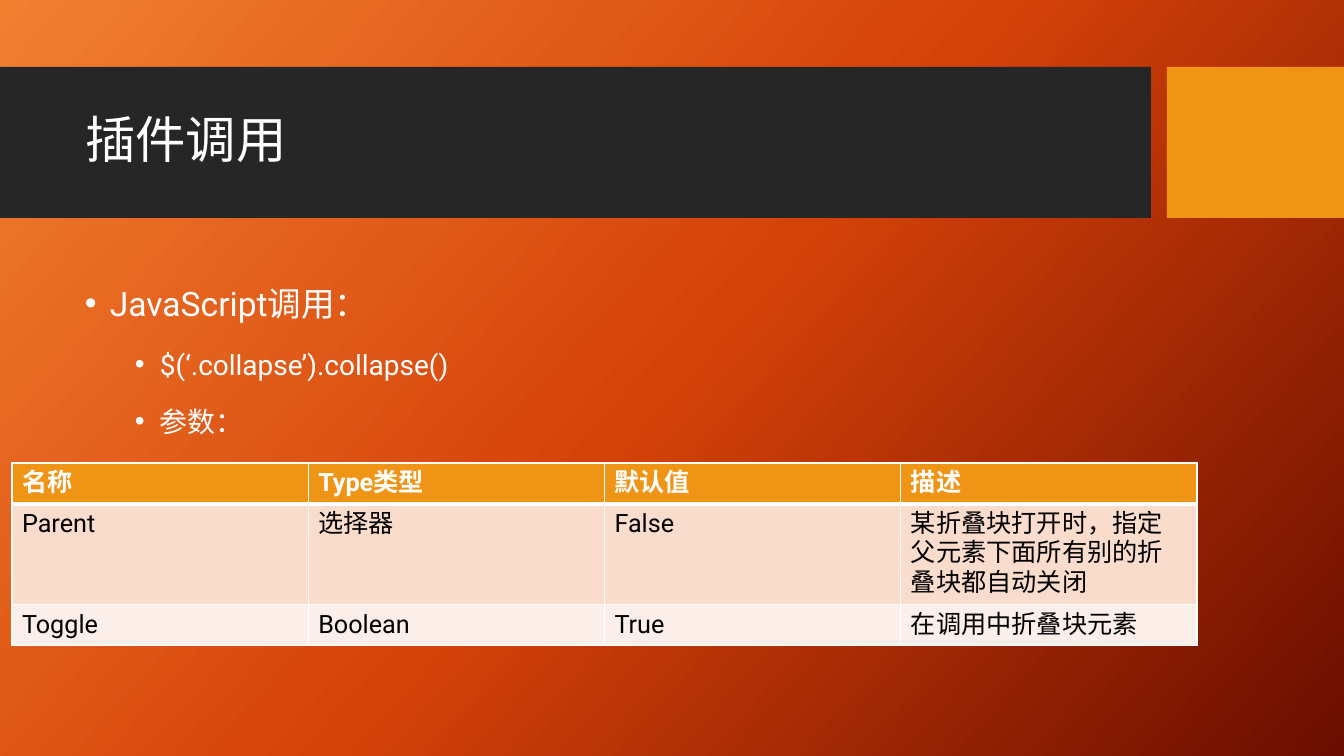
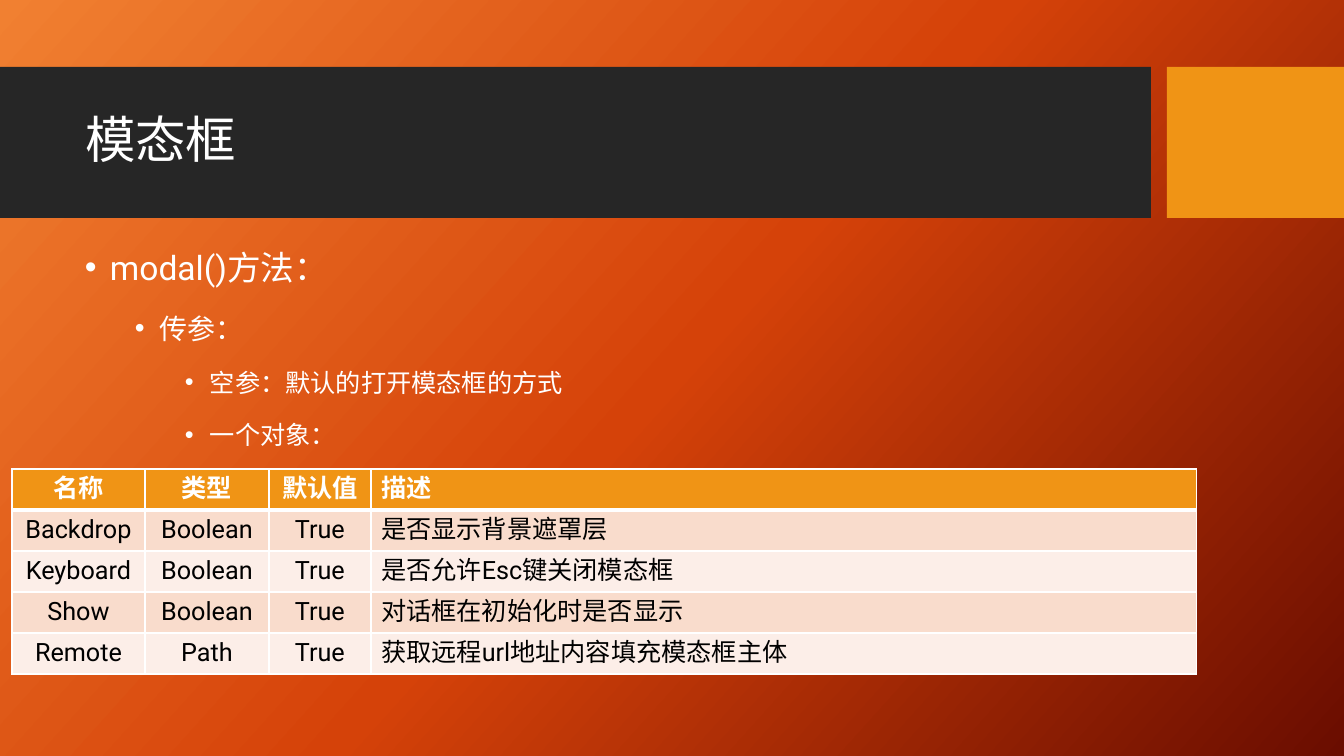
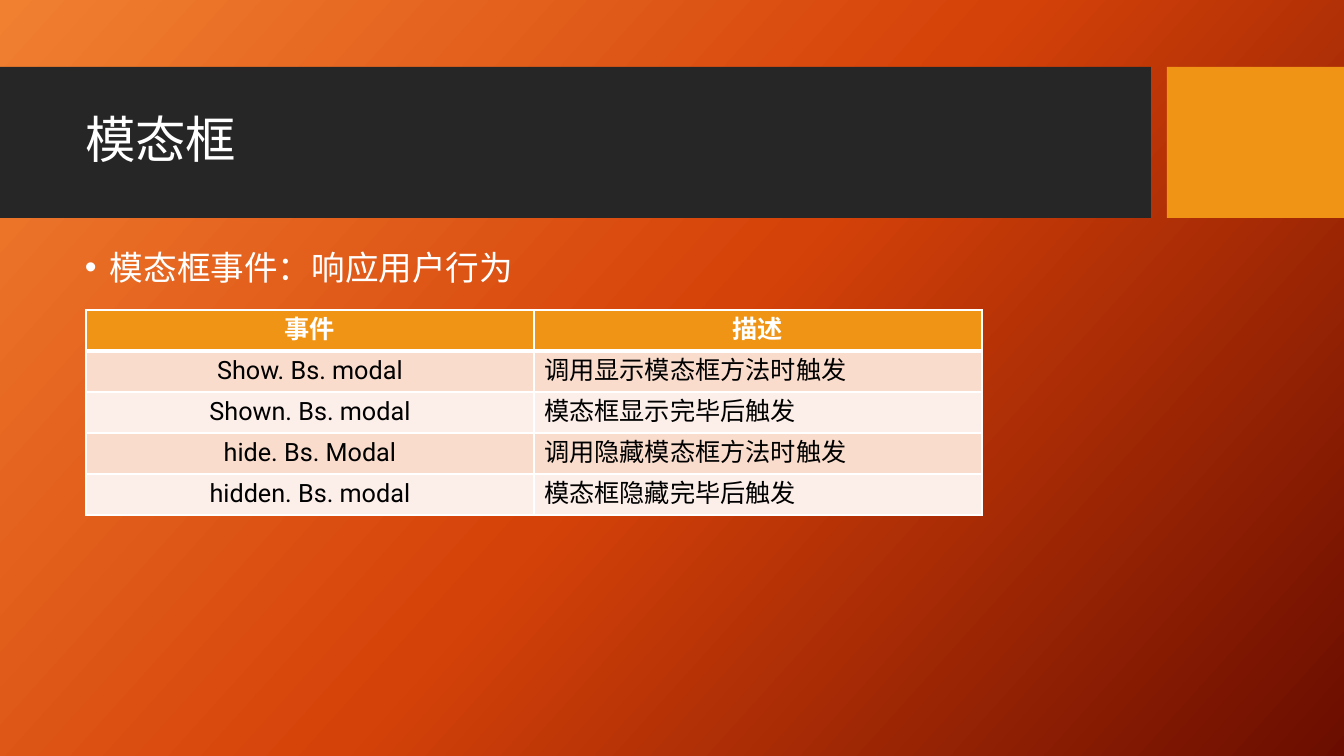
from lxml import etree
from pptx import Presentation
from pptx.dml.color import RGBColor
from pptx.enum.shapes import MSO_SHAPE
from pptx.enum.text import MSO_ANCHOR, MSO_AUTO_SIZE, PP_ALIGN
from pptx.oxml import parse_xml
from pptx.oxml.ns import qn
from pptx.util import Emu, Pt

RECT = MSO_SHAPE.RECTANGLE
MIDDLE = MSO_ANCHOR.MIDDLE
NO_FIT = MSO_AUTO_SIZE.NONE
LEFT, CENTER = PP_ALIGN.LEFT, PP_ALIGN.CENTER

SCALE = 914400 / 100.8
WIDE, HIGH = 1344, 756
FONT = "Roboto"
COLORS = {
    "white": "FFFFFF", "black": "000000", "band": "262626", "gold": "F09415",
    "odd": "F9DCCC", "even": "FCEEE8",
    "glow": "F18031", "flame": "D54209", "ember": "6A0D00",
}
NS = "http://schemas.openxmlformats.org/drawingml/2006/main"
TITLE_BOX = (75, 83, 1059, 119)
SIZES = (24, 20, 18)  # bullet text by level
ROW = 41


def px(n):
    return Emu(round(n * SCALE))


def rgb(name):
    return RGBColor.from_string(COLORS[name])


def write(par, text, size=18, color="white", bold=False, align=LEFT,
          lines=None, before=None):
    """Add one formatted run to a paragraph."""
    par.alignment = align
    if lines:
        par.line_spacing = lines
    if before:
        par.space_before = Pt(before)
    run = par.add_run()
    run.text = text
    font = run.font
    font.size, font.bold, font.name = Pt(size), bold, FONT
    font.color.rgb = rgb(color)
    props = run._r.get_or_add_rPr()
    props.set("lang", "zh-CN")
    etree.SubElement(props, qn("a:ea"), typeface=FONT)


# Shared look
def paint(master):
    fill = master.background.fill
    fill.gradient()
    grad = master.element.find(".//" + qn("a:gradFill"))
    stops = "".join(
        f'<a:gs pos="{pos}000"><a:srgbClr val="{COLORS[name]}"/></a:gs>'
        for pos, name in ((0, "glow"), (50, "flame"), (100, "ember")))
    grad.getparent().replace(grad, parse_xml(
        f'<a:gradFill xmlns:a="{NS}" rotWithShape="1"><a:gsLst>{stops}</a:gsLst>'
        f'<a:lin ang="{42 * 60000}" scaled="0"/></a:gradFill>'))


def band(slide, left, width, color, depth):
    bar = slide.shapes.add_shape(RECT, px(left), px(67), px(width), px(151))
    bar.shadow.inherit = False
    bar.fill.solid()
    bar.fill.fore_color.rgb = rgb(color)
    bar.line.fill.background()
    slide.shapes.element.insert(depth, bar._element)  # behind the title


def start(deck, text):
    slide = deck.slides.add_slide(deck.slide_layouts[5])
    band(slide, 0, 1151, "band", 2)
    band(slide, 1167, WIDE - 1167, "gold", 3)
    title = slide.shapes.title
    title.left, title.top, title.width, title.height = map(px, TITLE_BOX)
    frame = title.text_frame
    frame.auto_size, frame.vertical_anchor = NO_FIT, MIDDLE
    write(frame.paragraphs[0], text, size=36, lines=0.9)
    return slide


# Bullet list of (level, text)
def bullets(slide, box, items):
    frame = slide.shapes.add_textbox(*map(px, box)).text_frame
    frame.word_wrap = True
    for i, (level, text) in enumerate(items):
        par = frame.add_paragraph() if i else frame.paragraphs[0]
        par.level = level
        props = par._p.get_or_add_pPr()
        props.set("marL", str(px(25 + 50 * level)))
        props.set("indent", str(px(-25)))
        etree.SubElement(props, qn("a:buFont"), typeface="Arial")
        etree.SubElement(props, qn("a:buChar"), char="•")
        write(par, text, size=SIZES[level], lines=1.5, before=5 if i else None)


# Table cells
def edge(cell, row):
    props = cell._tc.get_or_add_tcPr()
    widths = {"lnL": 1, "lnR": 1, "lnT": 3 if row == 1 else 1,
              "lnB": 3 if row == 0 else 1}
    for i, (tag, width) in enumerate(widths.items()):
        props.insert(i, parse_xml(
            f'<a:{tag} xmlns:a="{NS}" w="{Pt(width)}"><a:solidFill>'
            f'<a:srgbClr val="{COLORS["white"]}"/></a:solidFill></a:{tag}>'))


def grid(slide, left, top, width, parts, rows, mid=()):
    """Draw a table; parts are column shares, mid holds centred columns."""
    table = slide.shapes.add_table(len(rows), len(parts), px(left), px(top),
                                   px(width), px(ROW * len(rows))).table
    table.first_row = table.horz_banding = False
    for col, part in zip(table.columns, parts):
        col.width = px(width * part / sum(parts))
    for r, texts in enumerate(rows):
        table.rows[r].height = px(ROW)
        head = r == 0
        for c, text in enumerate(texts):
            cell = table.cell(r, c)
            cell.fill.solid()
            cell.fill.fore_color.rgb = rgb(
                "gold" if head else "odd" if r % 2 else "even")
            edge(cell, r)
            center = c in mid or (head and len(mid) == 1)
            write(cell.text_frame.paragraphs[0], text, bold=head,
                  color="white" if head else "black",
                  align=CENTER if center else LEFT)


# Slides
def plugin(deck):
    slide = start(deck, "插件调用")
    bullets(slide, (75, 258, 1059, 397), [
        (0, "JavaScript调用："),
        (1, "$(‘.collapse’).collapse()"),
        (1, "参数："),
    ])
    grid(slide, 12, 463, 1185, (1, 1, 1, 1), [
        ("名称", "Type类型", "默认值", "描述"),
        ("Parent", "选择器", "False",
         "某折叠块打开时，指定父元素下面所有别的折叠块都自动关闭"),
        ("Toggle", "Boolean", "True", "在调用中折叠块元素"),
    ])


def options(deck):
    slide = start(deck, "模态框")
    bullets(slide, (75, 222, 1059, 524), [
        (0, "modal()方法："),
        (1, "传参："),
        (2, "空参：默认的打开模态框的方式"),
        (2, "一个对象："),
    ])
    grid(slide, 12, 469, 1185, (133, 124, 102, 826), [
        ("名称", "类型", "默认值", "描述"),
        ("Backdrop", "Boolean", "True", "是否显示背景遮罩层"),
        ("Keyboard", "Boolean", "True", "是否允许Esc键关闭模态框"),
        ("Show", "Boolean", "True", "对话框在初始化时是否显示"),
        ("Remote", "Path", "True", "获取远程url地址内容填充模态框主体"),
    ], mid=(0, 1, 2))


def events(deck):
    slide = start(deck, "模态框")
    bullets(slide, (75, 222, 1059, 524), [(0, "模态框事件：响应用户行为")])
    grid(slide, 86, 310, 896, (1, 1), [
        ("事件", "描述"),
        ("Show. Bs. modal", "调用显示模态框方法时触发"),
        ("Shown. Bs. modal", "模态框显示完毕后触发"),
        ("hide. Bs. Modal", "调用隐藏模态框方法时触发"),
        ("hidden. Bs. modal", "模态框隐藏完毕后触发"),
    ], mid=(0,))


def main():
    deck = Presentation()
    deck.slide_width, deck.slide_height = px(WIDE), px(HIGH)
    paint(deck.slide_master)
    for build in (plugin, options, events):
        build(deck)
    deck.save("out.pptx")


if __name__ == "__main__":
    main()
